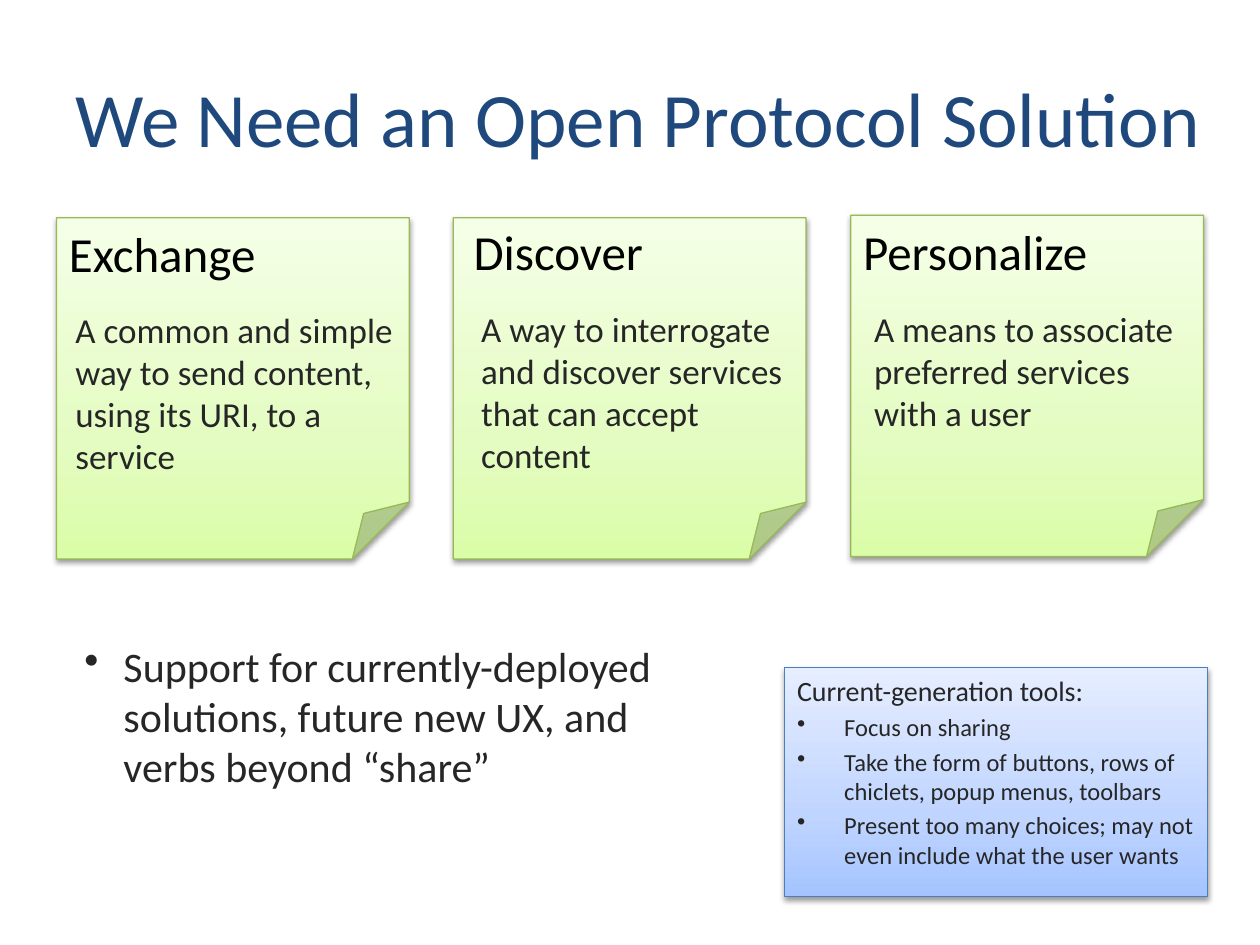
from dataclasses import dataclass
from typing import NamedTuple

from lxml.etree import SubElement
from pptx import Presentation
from pptx.dml.color import RGBColor as RGB
from pptx.enum.shapes import MSO_SHAPE as Kind
from pptx.enum.text import MSO_ANCHOR as Anchor, PP_ALIGN as Align
from pptx.oxml.ns import qn
from pptx.util import Cm, Pt


@dataclass(frozen=True)
class Theme:
    font: str = "Calibri"
    title: str = "1F497D"
    head: str = "000000"
    body: str = "262626"
    green: tuple = ("DAFDA7", "E4FCC2", "F5FFE7")
    blue: tuple = ("A4C4FF", "BFD4FF", "E6EEFF")
    green_edge: str = "98B955"
    blue_edge: str = "4B7EBC"
    title_pt: int = 44
    head_pt: int = 28
    point_pt: int = 24
    note_pt: int = 20
    lead_pt: int = 16
    item_pt: int = 14


class Box(NamedTuple):
    left: float
    top: float
    width: float
    height: float


class Line(NamedTuple):
    text: str
    size: int
    color: str
    indent: float = 0
    bullet: bool = False


@dataclass
class Note:
    head: str
    body: str
    left: float
    top: float
    head_at: tuple
    body_at: tuple


theme = Theme()
deck = Presentation()
deck.slide_width, deck.slide_height = Cm(25.4), Cm(19.05)
slide = deck.slides.add_slide(deck.slide_layouts[6])
shapes = slide.shapes


def add_node(parent, tag: str, **attrs):
    return SubElement(parent, qn(tag), {k: str(v) for k, v in attrs.items()})


def add_panel(kind: Kind, box: Box, tones: tuple, edge: str):
    """Draw a shape with a rising gradient and a soft shadow."""
    panel = shapes.add_shape(kind, *map(Cm, box))
    props = panel.fill._xPr
    grad = add_node(props, "a:gradFill", rotWithShape=1)
    stops = add_node(grad, "a:gsLst")
    for pos, tone in zip((0, 35000, 100000), tones):
        add_node(add_node(stops, "a:gs", pos=pos), "a:srgbClr", val=tone)
    add_node(grad, "a:lin", ang=16200000, scaled=0)
    panel.line.color.rgb = RGB.from_string(edge)
    panel.line.width = Pt(0.75)
    shade = add_node(add_node(props, "a:effectLst"), "a:outerShdw",
                     blurRad=Pt(3.1), dist=Pt(1.6), dir=5400000, rotWithShape=0)
    add_node(add_node(shade, "a:srgbClr", val="000000"), "a:alpha", val=38000)
    return panel


def write(frame, lines: list[Line], wrap: bool = True, anchor=Anchor.TOP) -> None:
    frame.word_wrap = wrap
    frame.vertical_anchor = anchor
    for i, line in enumerate(lines):
        para = frame.paragraphs[0] if i == 0 else frame.add_paragraph()
        para.text = line.text
        para.alignment = Align.LEFT
        para.font.name = theme.font
        para.font.size = Pt(line.size)
        para.font.color.rgb = RGB.from_string(line.color)
        if line.indent:
            para.space_before = Pt(line.size * 0.2)
            props = para._p.get_or_add_pPr()
            props.set("marL", str(Cm(line.indent)))
            props.set("indent", str(-Cm(line.indent)))
            if line.bullet:
                bullet = add_node(props, "a:buChar", char="•")
                props.remove(bullet)
                props.insert_element_before(bullet, "a:tabLst", "a:defRPr")


def add_text(box: Box, line: Line, wrap: bool = True, anchor=Anchor.TOP) -> None:
    write(shapes.add_textbox(*map(Cm, box)).text_frame, [line], wrap, anchor)


# Title
add_text(Box(1.27, 0.76, 23.8, 3.18),
         Line("We Need an Open Protocol Solution", theme.title_pt, theme.title),
         anchor=Anchor.MIDDLE)

# Sticky notes
notes = [
    Note("Exchange", "A common and simple way to send content, using its URI, to a service",
         1.14, 4.39, (1.14, 4.39), (1.27, 6.1)),
    Note("Discover", "A way to interrogate and discover services that can accept content",
         9.14, 4.39, (9.3, 4.34), (9.45, 6.07)),
    Note("Personalize", "A means to associate preferred services with a user",
         17.15, 4.34, (17.15, 4.34), (17.37, 6.07)),
]
for note in notes:
    add_panel(Kind.FOLDED_CORNER, Box(note.left, note.top, 7.11, 6.88),
              theme.green, theme.green_edge)
    add_text(Box(*note.head_at, 5.08, 1.45),
             Line(note.head, theme.head_pt, theme.head), wrap=False)
    add_text(Box(*note.body_at, 6.99, 4.52),
             Line(note.body, theme.note_pt, theme.body))

# Supporting point
add_text(Box(1.45, 12.78, 13.06, 2.59),
         Line("Support for currently-deployed solutions, future new UX, and verbs "
              "beyond “share”", theme.point_pt, theme.body, 0.79, True))

# Current tools panel
tools = add_panel(Kind.RECTANGLE, Box(15.82, 13.46, 8.53, 4.62),
                  theme.blue, theme.blue_edge)
items = [
    "Focus on sharing",
    "Take the form of buttons, rows of chiclets, popup menus, toolbars",
    "Present too many choices; may not even include what the user wants",
]
write(tools.text_frame,
      [Line("Current-generation tools:", theme.lead_pt, theme.body, 0.95)]
      + [Line(item, theme.item_pt, theme.body, 0.95, True) for item in items])

deck.save("out.pptx")
